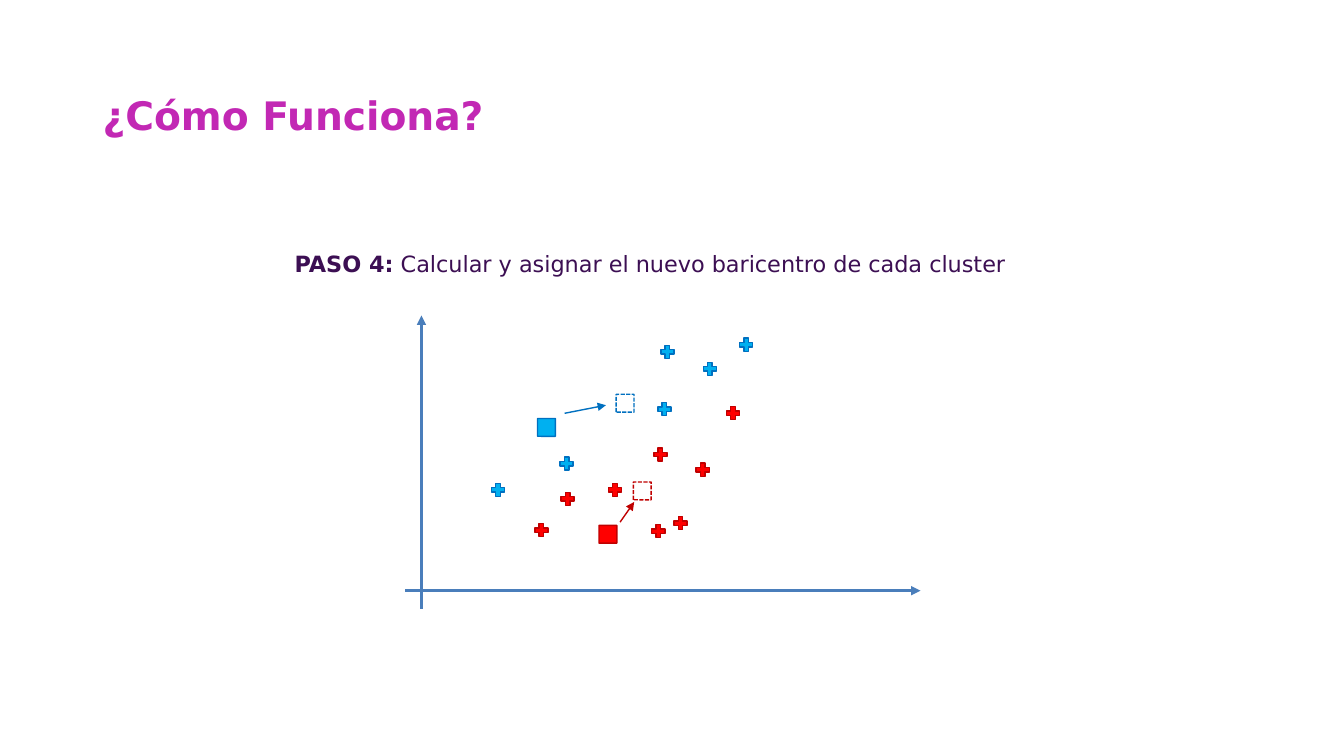
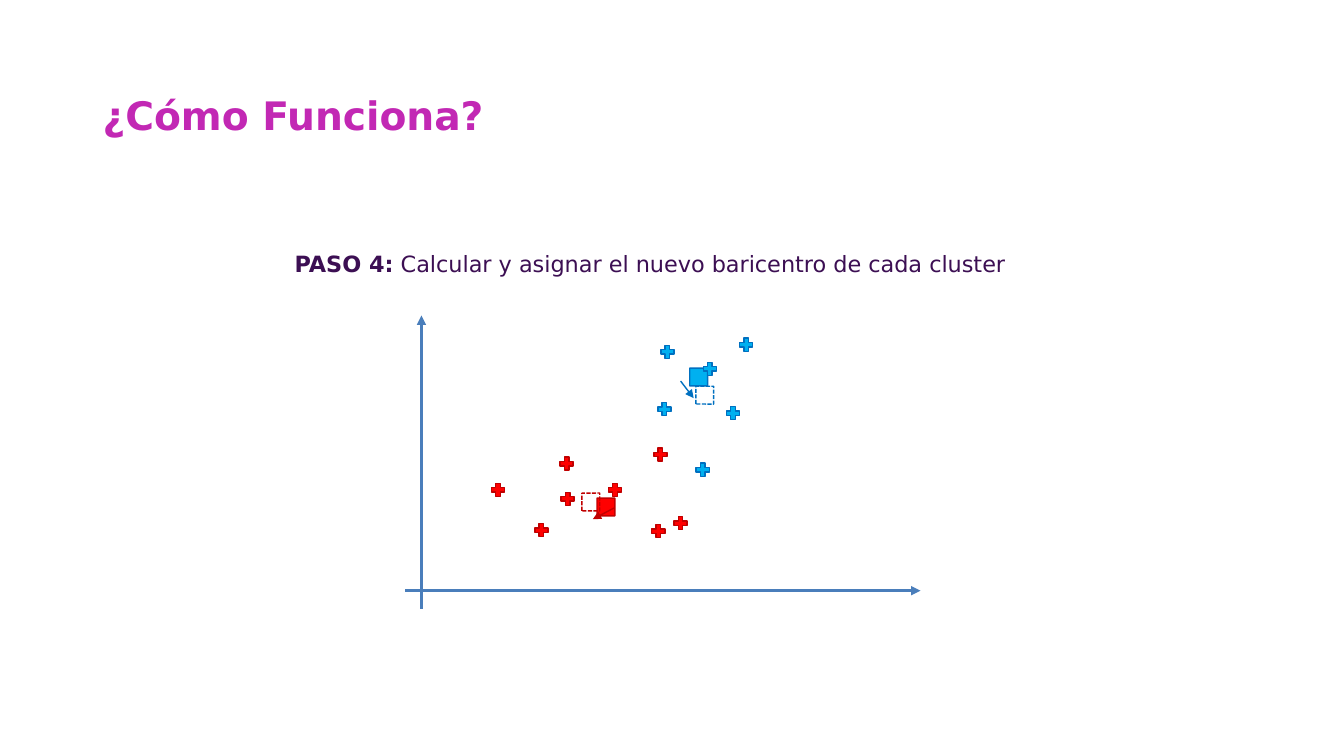
from math import dist

from pptx import Presentation
from pptx.dml.color import RGBColor
from pptx.enum.dml import MSO_LINE
from pptx.enum.shapes import MSO_CONNECTOR, MSO_SHAPE
from pptx.enum.text import MSO_ANCHOR, PP_ALIGN
from pptx.oxml.ns import qn
from pptx.util import Inches, Pt
from lxml.etree import SubElement

COLORS = {
    "title": "C228B4",
    "caption": "3C0F53",
    "axis": "4A7EBB",
    "red": "FF0000",
    "red_edge": "C00000",
    "blue": "00B0F0",
    "blue_edge": "0070C0",
}
FONT = "DejaVu Sans"
CELL = 0.1
TITLE_BOX = (9.2, 7.1, 115, 9.1)
CAPTION_BOX = (14.5, 24.3, 100, 3.7)
PLOT_BOX = (40, 31, 51.3, 29.4)
CROSS_SIZE = 1.3
CENTROID_SIZE = 2.5

POINTS = [
    (32.7, 10), (13.7, 21.6), (25.5, 14.1), (27.5, 20.9), (16.3, 18.5),
    (21, 17.6), (25.3, 21.7), (29.7, 15.6), (9.4, 17.6), (16.2, 15),
    (25.9, 9.6), (30.4, 5.6), (34, 3.2), (26.2, 3.9),
]
ITERATIONS = [
    {
        "red": {"old": (20.3, 22), "new": (23.7, 17.7),
                "move": ((21.5, 20.8), (22.9, 18.8))},
        "blue": {"old": (14.2, 11.4), "new": (22, 9),
                 "move": ((16, 10), (20.1, 9.2))},
    },
    {
        "red": {"old": (20.1, 19.3), "new": (18.6, 18.8),
                "move": ((20.9, 19.4), (18.8, 20.5))},
        "blue": {"old": (29.3, 6.4), "new": (29.9, 8.2),
                 "move": ((27.5, 6.8), (28.8, 8.5))},
    },
]


def cells(*counts):
    return [Inches(count * CELL) for count in counts]


def color(name):
    return RGBColor.from_string(COLORS[name])


def add_text(slide, box, runs, size, color_name):
    frame = slide.shapes.add_textbox(*cells(*box)).text_frame
    frame.word_wrap = True
    paragraph = frame.paragraphs[0]
    for text, bold in runs:
        run = paragraph.add_run()
        run.text = text
        run.font.bold = bold
    paragraph.font.size = Pt(size)
    paragraph.font.name = FONT
    paragraph.font.color.rgb = color(color_name)
    return frame


def add_title(slide, box):
    frame = add_text(slide, box, [("¿Cómo Funciona?", True)], 28, "title")
    frame.vertical_anchor = MSO_ANCHOR.MIDDLE
    frame.paragraphs[0].line_spacing = 0.9


def add_caption(slide, box):
    runs = [("PASO 4:", True),
            (" Calcular y asignar el nuevo baricentro de cada cluster", False)]
    frame = add_text(slide, box, runs, 16, "caption")
    frame.margin_left = frame.margin_right = Inches(0.05)
    frame.margin_top = frame.margin_bottom = Inches(0.05)
    frame.paragraphs[0].alignment = PP_ALIGN.CENTER


def add_arrow(slide, box, start, end, color_name, width):
    left, top = box[:2]
    ends = cells(left + start[0], top + start[1], left + end[0], top + end[1])
    arrow = slide.shapes.add_connector(MSO_CONNECTOR.STRAIGHT, *ends)
    arrow.line.color.rgb = color(color_name)
    arrow.line.width = Pt(width)
    SubElement(arrow.line._get_or_add_ln(), qn("a:tailEnd"), type="triangle")
    SubElement(arrow._element.spPr, qn("a:effectLst"))


def add_marker(slide, box, preset, center, size, cluster, filled=True):
    left = box[0] + center[0] - size / 2
    top = box[1] + center[1] - size / 2
    marker = slide.shapes.add_shape(preset, *cells(left, top, size, size))
    marker.shadow.inherit = False
    if filled:
        marker.fill.solid()
        marker.fill.fore_color.rgb = color(cluster)
    else:
        marker.fill.background()
    marker.line.color.rgb = color(f"{cluster}_edge")
    marker.line.width = Pt(1)
    return marker


def add_point(slide, box, center, cluster):
    cross = add_marker(slide, box, MSO_SHAPE.CROSS, center, CROSS_SIZE, cluster)
    cross.adjustments[0] = 0.33


def add_centroid(slide, box, center, cluster, is_new):
    centroid = add_marker(slide, box, MSO_SHAPE.DIAMOND, center,
                          CENTROID_SIZE, cluster, filled=not is_new)
    centroid.rotation = 315
    if is_new:
        centroid.line.dash_style = MSO_LINE.SQUARE_DOT


def add_axes(slide, box):
    width, height = box[2:]
    add_arrow(slide, box, (1.8, height), (1.8, 0.3), "axis", 2.25)
    add_arrow(slide, box, (0.2, 27.6), (width, 27.6), "axis", 2.25)


def add_cluster_plot(slide, box, clusters):
    add_axes(slide, box)
    for cluster, centroid in clusters.items():
        add_centroid(slide, box, centroid["old"], cluster, is_new=False)
    for point in POINTS:
        nearest = min(clusters, key=lambda name: dist(point, clusters[name]["old"]))
        add_point(slide, box, point, nearest)
    for cluster, centroid in clusters.items():
        add_centroid(slide, box, centroid["new"], cluster, is_new=True)
        add_arrow(slide, box, *centroid["move"], f"{cluster}_edge", 1)


def add_step_slide(deck, clusters):
    slide = deck.slides.add_slide(deck.slide_layouts[6])
    add_title(slide, TITLE_BOX)
    add_caption(slide, CAPTION_BOX)
    add_cluster_plot(slide, PLOT_BOX, clusters)


def main():
    deck = Presentation()
    deck.slide_width = Inches(13.33)
    deck.slide_height = Inches(7.5)
    for clusters in ITERATIONS:
        add_step_slide(deck, clusters)
    deck.save("out.pptx")


if __name__ == "__main__":
    main()
